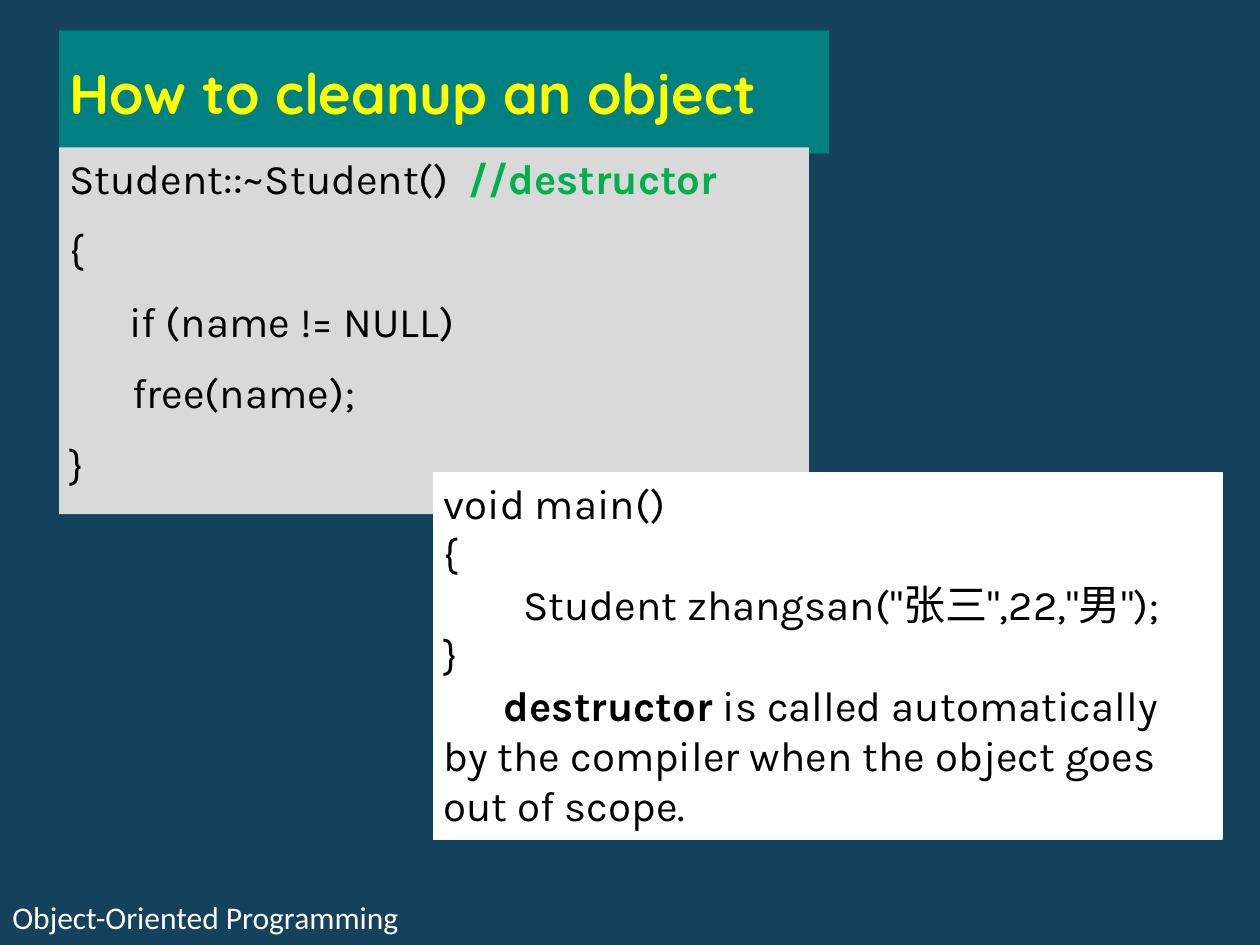
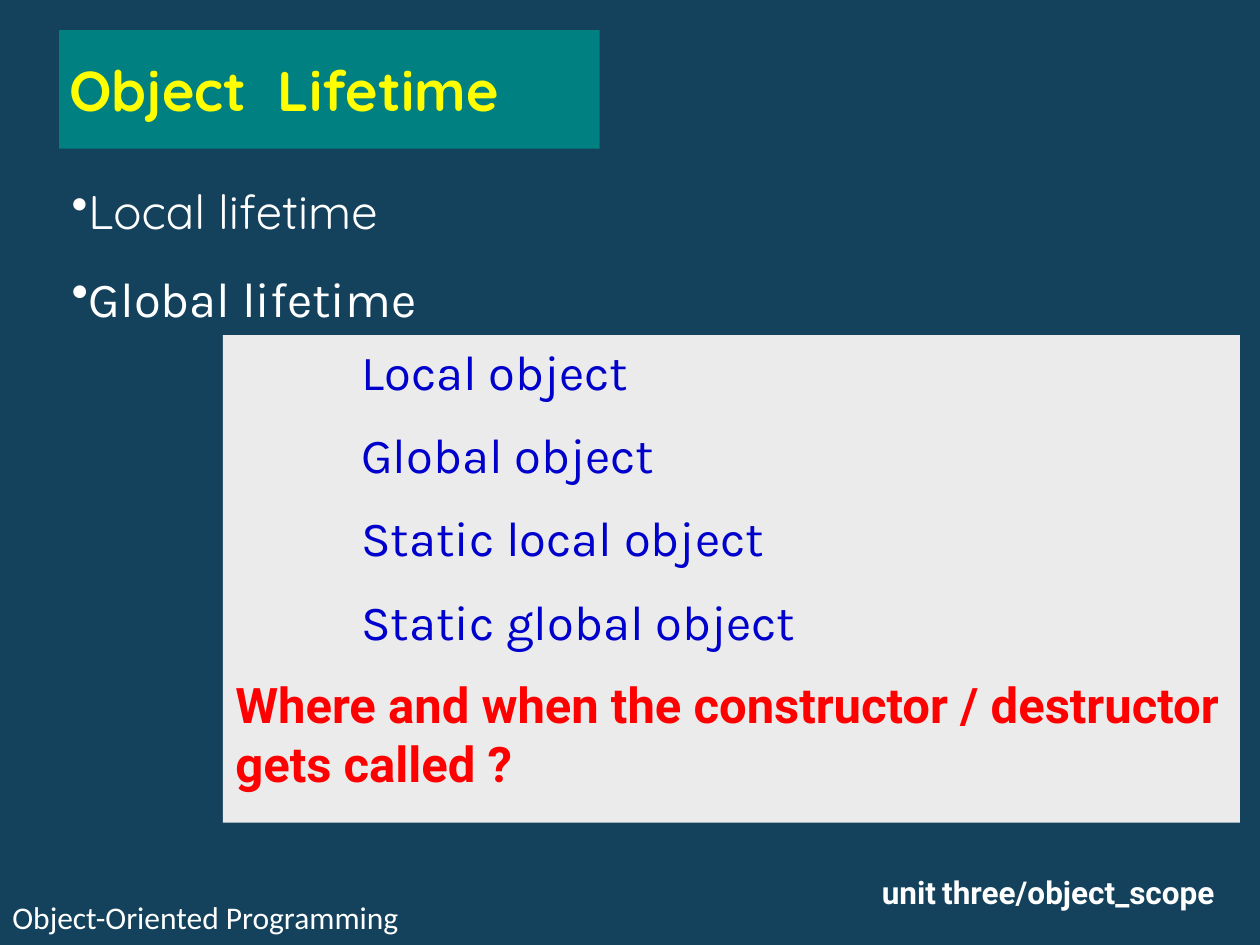
"""Build two slides on destructors and object lifetime."""
from lxml.etree import SubElement as Sub
from pptx import Presentation
from pptx.dml.color import RGBColor as Rgb
from pptx.enum.shapes import MSO_SHAPE as Kind
from pptx.enum.text import MSO_ANCHOR as Anchor, PP_ALIGN as Align
from pptx.oxml.ns import qn
from pptx.util import Inches, Pt

NAVY = Rgb(0x14, 0x42, 0x5D)
TEAL = Rgb(0x00, 0x80, 0x80)
YELLOW = Rgb(0xFF, 0xFF, 0x00)
WHITE = Rgb(0xFF, 0xFF, 0xFF)
BLACK = Rgb(0x00, 0x00, 0x00)
GREY = Rgb(0xD9, 0xD9, 0xD9)
PALE = Rgb(0xEB, 0xEB, 0xEB)
GREEN = Rgb(0x00, 0xB0, 0x50)
BLUE = Rgb(0x00, 0x00, 0xCC)
RED = Rgb(0xFF, 0x00, 0x00)

TIGHT = (0.08, 0.04)
WIDE = (0.1, 0.05)

CODE = ("Karla", 24, BLACK, False)
STRONG = ("Karla", 24, BLACK, True)
NOTE = ("Karla", 24, GREEN, True)
HEAD = ("Quicksand", 32, YELLOW, True)
FOOT = ("Calibri", 18, WHITE, False)
LIGHT = ("Quicksand", 27, WHITE, False)
PLAIN = ("Karla", 28, WHITE, False)
ITEM = ("Karla", 28, BLUE, False)
ASK = ("Roboto", 28, RED, True)
UNIT = ("Roboto", 18, WHITE, True)
GAP = ("Times New Roman", 14, WHITE, False)

FOOTER = "Object-Oriented Programming"

CLEANUP = [
    [("Student::~Student()  ", CODE), ("//destructor", NOTE)],
    [("{", CODE)],
    [("      if (name != NULL)", CODE)],
    [("\tfree(name);", CODE)],
    [("}", CODE)],
]
MAIN = [[(line, CODE)] for line in (
    "void main()",
    "{",
    "        Student zhangsan(\"张三\",22,\"男\");",
    "}",
)]
REMARK = [
    ("destructor", STRONG),
    (" is called automatically by the compiler when the object goes out of scope.", CODE),
]
LIVES = [[("Local lifetime", LIGHT)], [("Global lifetime", PLAIN)]]
OBJECTS = ["Local object", "Global object", "Static local object", "Static global object"]
QUESTION = "Where and when the constructor / destructor gets called ?"
PLACE = [("unit", UNIT), (" ", GAP), ("three/object_scope", UNIT)]


def add_para(frame, runs, before=0, left=0, first=0, bullet=None, lead=None, align=None):
    """Write one paragraph, using the empty first one when it is free."""
    fresh = not frame.paragraphs[0].runs
    para = frame.paragraphs[0] if fresh else frame.add_paragraph()
    props = para._p.get_or_add_pPr()
    props.set("marL", str(Inches(left)))
    props.set("indent", str(Inches(first)))
    if bullet:
        Sub(props, qn("a:buChar")).set("char", bullet)
    para.alignment = align or Align.LEFT
    if lead:
        para.line_spacing = lead
    if before and not fresh:
        para.space_before = Pt(before)
    for text, (face, size, color, bold) in runs:
        run = para.add_run()
        run.text = text
        font = run.font
        font.name, font.size, font.bold = face, Pt(size), bold
        font.color.rgb = color


def add_box(slide, place, fill=None, edge=None, pad=TIGHT, anchor=Anchor.TOP):
    """Add a filled panel or a clear text box and return its text frame."""
    spot = [Inches(n) for n in place]
    if fill is None:
        box = slide.shapes.add_textbox(*spot)
    else:
        box = slide.shapes.add_shape(Kind.RECTANGLE, *spot)
        box.shadow.inherit = False
        box.fill.solid()
        box.fill.fore_color.rgb = fill
        if edge is None:
            box.line.fill.background()
        else:
            box.line.color.rgb = edge
            box.line.width = Pt(1)
    frame = box.text_frame
    frame.word_wrap = True
    frame.vertical_anchor = anchor
    frame.margin_left = frame.margin_right = Inches(pad[0])
    frame.margin_top = frame.margin_bottom = Inches(pad[1])
    return frame


def add_slide(deck):
    """Add a slide with the shared ground and footer."""
    slide = deck.slides.add_slide(deck.slide_layouts[6])
    slide.background.fill.solid()
    slide.background.fill.fore_color.rgb = NAVY
    foot = add_box(slide, (0, 7.08, 4.01, 0.4), pad=WIDE)
    add_para(foot, [(FOOTER, FOOT)])
    return slide


def add_title(slide, text, width, height):
    """Add the teal title band."""
    band = add_box(slide, (0.47, 0.24, width, height), TEAL, anchor=Anchor.MIDDLE)
    add_para(band, [(text, HEAD)])


def cleanup_slide(deck):
    """Show the destructor and the code that triggers it."""
    slide = add_slide(deck)
    add_title(slide, "How to cleanup an object", 6.11, 0.98)
    code = add_box(slide, (0.47, 1.17, 5.95, 2.91), GREY)
    for runs in CLEANUP:
        add_para(code, runs, before=12)
    main_box = add_box(slide, (3.44, 3.75, 6.26, 2.91), WHITE, WHITE)
    for runs in MAIN:
        add_para(main_box, runs)
    add_para(main_box, REMARK, first=0.48)


def lifetime_slide(deck):
    """List the lifetimes and the kinds of object."""
    slide = add_slide(deck)
    lives = add_box(slide, (0.47, 1.17, 9.24, 1.49), pad=WIDE)
    for runs in LIVES:
        add_para(lives, runs, bullet="•", lead=1.5)
    add_title(slide, "Object  Lifetime", 4.29, 0.94)
    add_para(add_box(slide, (5.17, 6.89, 4.55, 0.39)), PLACE, align=Align.RIGHT)
    panel = add_box(slide, (1.77, 2.66, 8.07, 3.87), PALE, pad=WIDE)
    for name in OBJECTS:
        add_para(panel, [(name, ITEM)], before=14, left=1)
    add_para(panel, [(QUESTION, ASK)], before=14)


def main():
    """Build and save the deck."""
    deck = Presentation()
    deck.slide_width, deck.slide_height = Inches(10), Inches(7.5)
    cleanup_slide(deck)
    lifetime_slide(deck)
    deck.save("out.pptx")


if __name__ == "__main__":
    main()
